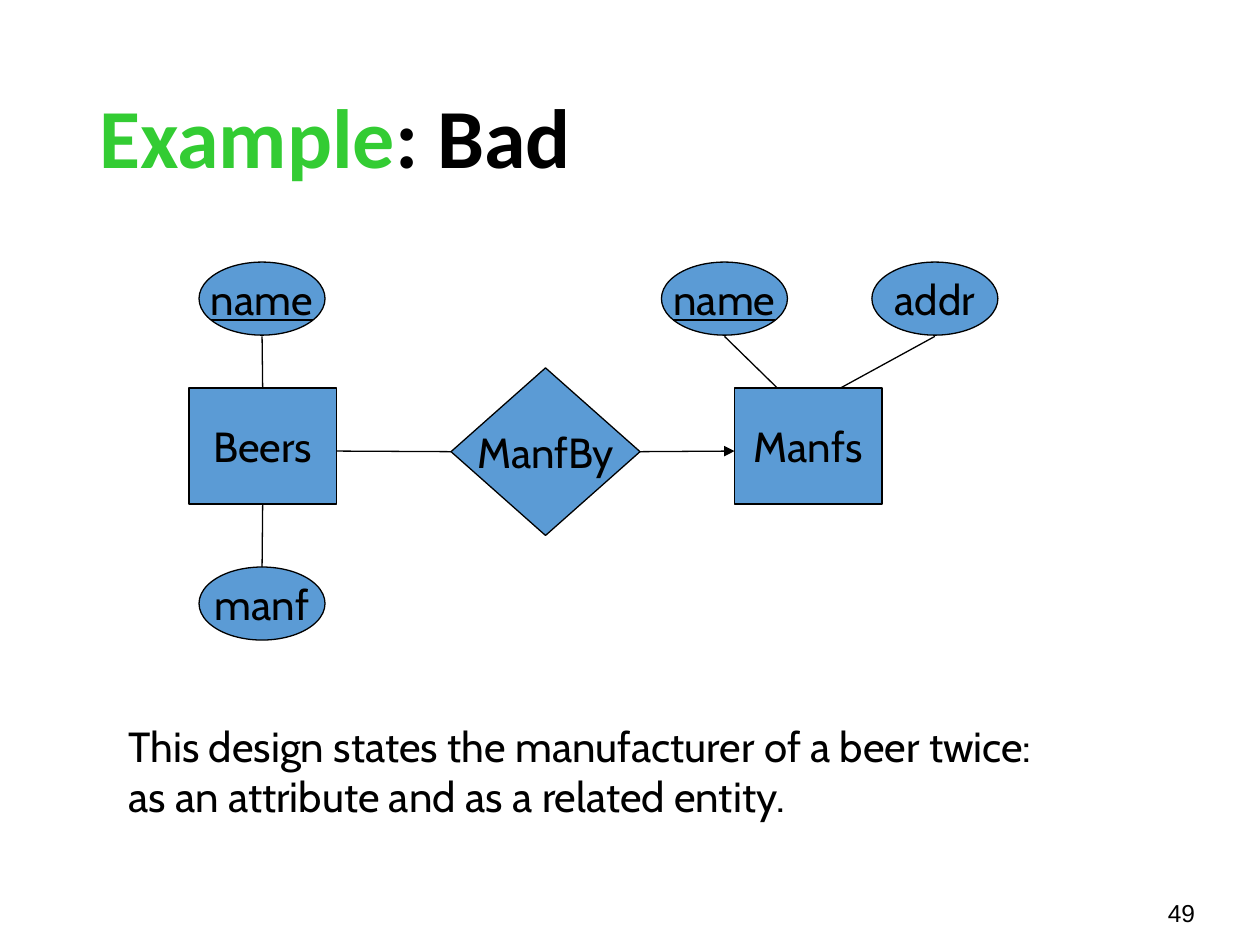
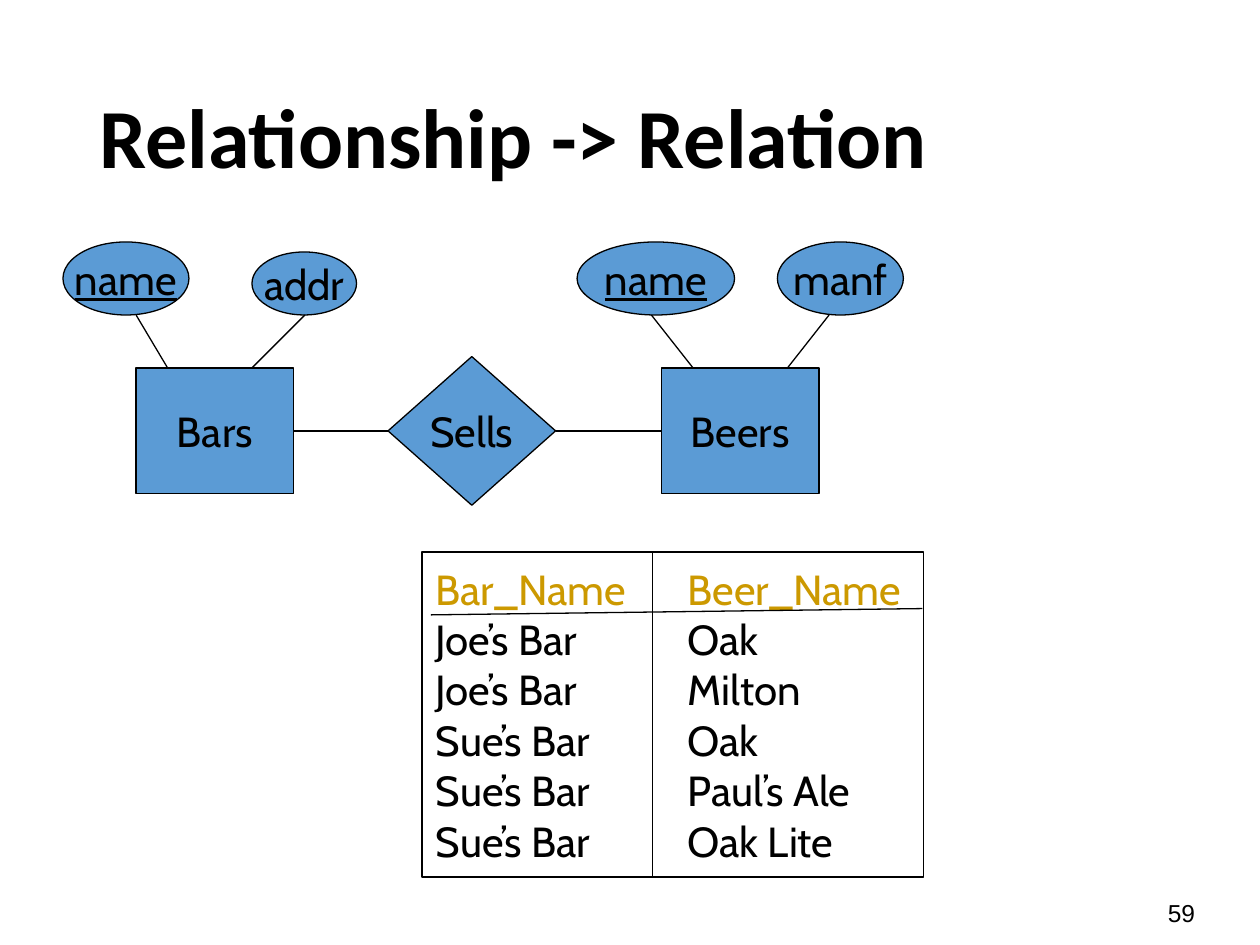
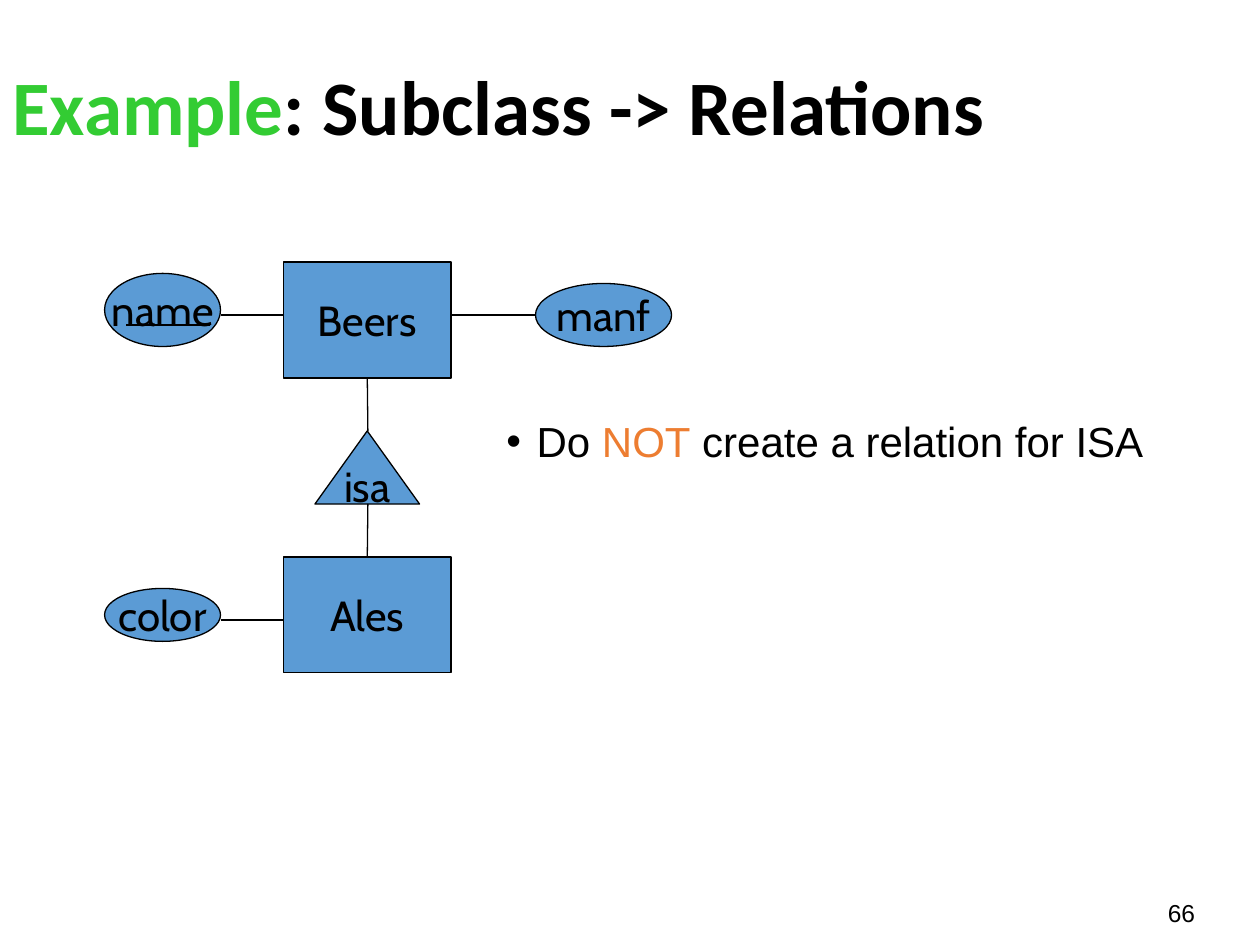
"""Build three slides on entity-relationship design."""
from lxml import etree
from pptx import Presentation
from pptx.dml.color import RGBColor
from pptx.enum.shapes import MSO_CONNECTOR, MSO_SHAPE
from pptx.enum.text import MSO_ANCHOR, PP_ALIGN
from pptx.oxml.ns import qn
from pptx.util import Inches, Pt

STRAIGHT = MSO_CONNECTOR.STRAIGHT
MIDDLE, TOP = MSO_ANCHOR.MIDDLE, MSO_ANCHOR.TOP
CENTER, LEFT = PP_ALIGN.CENTER, PP_ALIGN.LEFT
BLACK, BLUE, GREEN, GOLD, ORANGE = "000000", "5B9BD5", "33CC33", "CC9900", "ED7D31"

FORMS = {
    "entity": MSO_SHAPE.RECTANGLE,
    "link": MSO_SHAPE.DIAMOND,
    "attr": MSO_SHAPE.OVAL,
    "key": MSO_SHAPE.OVAL,
    "isa": MSO_SHAPE.ISOSCELES_TRIANGLE,
}

BAD = {
    "page": "49",
    "title": [("Example", GREEN), (": Bad", BLACK)],
    "nodes": [
        ("entity", "Beers", 1.5, 3.08, 1.17, 0.92),
        ("entity", "Manfs", 5.83, 3.08, 1.17, 0.92),
        ("link", "ManfBy", 3.58, 2.92, 1.5, 1.33),
        ("key", "name", 1.58, 2.08, 1, 0.58),
        ("key", "name", 5.25, 2.08, 1, 0.58),
        ("attr", "manf", 1.58, 4.5, 1, 0.58),
        ("attr", "addr", 6.92, 2.08, 1, 0.58),
    ],
    "lines": [
        (3.58, 3.58, 2.67, 3.58),
        (2.08, 2.67, 2.08, 3.08),
        (5.75, 2.67, 6.17, 3.08),
        (7.42, 2.67, 6.67, 3.08),
        (2.08, 4.5, 2.08, 4),
    ],
    "arrows": [(5.08, 3.58, 5.83, 3.58)],
}
NOTE = "This design states the manufacturer of a beer twice: as an attribute and as a related entity."

SELLS = {
    "page": "59",
    "title": [("Relationship -> Relation", BLACK)],
    "nodes": [
        ("entity", "Beers", 5.25, 2.92, 1.25, 1),
        ("attr", "manf", 6.17, 1.92, 1, 0.58),
        ("key", "name", 4.58, 1.92, 1.25, 0.58),
        ("entity", "Bars", 1.08, 2.92, 1.25, 1),
        ("key", "name", 0.5, 1.92, 1, 0.58),
        ("attr", "addr", 2, 2, 0.83, 0.5),
        ("link", "Sells", 3.08, 2.83, 1.33, 1.18),
    ],
    "lines": [
        (5.17, 2.5, 5.5, 2.92),
        (6.58, 2.5, 6.25, 2.92),
        (1.08, 2.5, 1.33, 2.92),
        (2.42, 2.5, 2, 2.92),
        (3.08, 3.42, 2.33, 3.42),
        (4.41, 3.42, 5.25, 3.42),
    ],
}
ROWS = [
    ("Bar_Name", "Beer_Name"),
    ("Joe’s Bar", "Oak"),
    ("Joe’s Bar", "Milton"),
    ("Sue’s Bar", "Oak"),
    ("Sue’s Bar", "Paul’s Ale"),
    ("Sue’s Bar", "Oak Lite"),
]
FRAME = (3.35, 4.38, 3.98, 2.58)
RULES = [(3.42, 4.88, 7.32, 4.83), (5.18, 4.38, 5.18, 6.96)]

SUB = {
    "page": "66",
    "title": [("Example", GREEN), (": Subclass -> Relations", BLACK)],
    "place": (0, 0.25, 10, 1.25),
    "size": 44,
    "nodes": [
        ("entity", "Beers", 2.25, 2.08, 1.33, 0.92),
        ("entity", "Ales", 2.25, 4.42, 1.33, 0.92),
        ("isa", "isa", 2.5, 3.42, 0.83, 0.58),
        ("attr", "name", 0.83, 2.17, 0.92, 0.58),
        ("attr", "manf", 4.25, 2.25, 1.08, 0.5),
        ("attr", "color", 0.83, 4.67, 0.92, 0.42),
    ],
    "lines": [
        (1, 2.58, 1.67, 2.58),
        (1.75, 2.5, 2.25, 2.5),
        (4.25, 2.5, 3.58, 2.5),
        (2.92, 3.42, 2.92, 3),
        (2.92, 4, 2.92, 4.42),
        (1.75, 4.92, 2.25, 4.92),
    ],
}
ADVICE = [("Do ", BLACK), ("NOT", ORANGE), (" create a relation for ISA", BLACK)]


def rgb(code):
    return RGBColor.from_string(code)


def write(shape, paras, size=24, font="Cabin", bold=False, under=False,
          align=LEFT, anchor=TOP, wrap=True, space=1.0, tab=None, bullet=None):
    frame = shape.text_frame
    frame.word_wrap = wrap
    frame.vertical_anchor = anchor
    for i, runs in enumerate(paras):
        para = frame.add_paragraph() if i else frame.paragraphs[0]
        props = para._p.get_or_add_pPr()
        if bullet:
            props.set("marL", str(Inches(0.24)))
            props.set("indent", str(-Inches(0.24)))
            etree.SubElement(props, qn("a:buFont"), typeface="Arial")
            etree.SubElement(props, qn("a:buChar"), char=bullet)
        if tab:
            stops = etree.SubElement(props, qn("a:tabLst"))
            etree.SubElement(stops, qn("a:tab"), pos=str(Inches(tab)), algn="l")
        para.alignment = align
        para.line_spacing = space
        for text, color in runs:
            run = para.add_run()
            run.text = text
            run.font.size = Pt(size)
            run.font.name = font
            run.font.bold = bold
            run.font.underline = under
            run.font.color.rgb = rgb(color)


def label(slide, place, paras, **form):
    write(slide.shapes.add_textbox(*map(Inches, place)), paras, **form)


def block(slide, kind, place, fill=None):
    shape = slide.shapes.add_shape(kind, *map(Inches, place))
    shape.shadow.inherit = False
    if fill:
        shape.fill.solid()
        shape.fill.fore_color.rgb = rgb(fill)
    else:
        shape.fill.background()
    shape.line.color.rgb = rgb(BLACK)
    shape.line.width = Pt(0.75)
    return shape


def site(x, y, boxes):
    """Find the box whose side has its middle at this point."""
    for shape, (left, top, wide, high) in boxes:
        mids = [(left + wide / 2, top), (left, top + high / 2),
                (left + wide / 2, top + high), (left + wide, top + high / 2)]
        for i, (a, b) in enumerate(mids):
            if abs(a - x) < 0.02 and abs(b - y) < 0.02:
                return shape, i
    return None


def join(slide, ends, boxes=(), arrow=False):
    line = slide.shapes.add_connector(STRAIGHT, *map(Inches, ends))
    line.line.color.rgb = rgb(BLACK)
    line.line.width = Pt(0.75)
    props = line._element.spPr
    if arrow:
        etree.SubElement(props.find(qn("a:ln")), qn("a:tailEnd"), type="triangle")
    etree.SubElement(props, qn("a:effectLst"))
    start, stop = site(*ends[:2], boxes), site(*ends[2:], boxes)
    if start:
        line.begin_connect(*start)
    if stop:
        line.end_connect(*stop)


def build(deck, data):
    """Add a slide with its page number, title and diagram."""
    slide = deck.slides.add_slide(deck.slide_layouts[6])
    label(slide, (9.17, 7.08, 0.58, 0.34), [[(data["page"], BLACK)]], size=14, font="Arial")
    label(slide, data.get("place", (0.69, 0.4, 8.63, 1.45)), [data["title"]],
          size=data.get("size", 48), font="Calibri", bold=True, anchor=MIDDLE, space=0.9)
    boxes = []
    for kind, text, *place in data["nodes"]:
        shape = block(slide, FORMS[kind], place, BLUE)
        write(shape, [[(text, BLACK)]], under=kind == "key",
              align=CENTER, anchor=MIDDLE, wrap=False)
        if kind in ("entity", "link"):
            boxes.append((shape, place))
    for ends in data["lines"]:
        join(slide, ends, boxes)
    for ends in data.get("arrows", []):
        join(slide, ends, boxes, arrow=True)
    return slide


def main():
    deck = Presentation()
    deck.slide_width, deck.slide_height = Inches(10), Inches(7.5)

    label(build(deck, BAD), (0.92, 5.67, 7.52, 0.9), [[(NOTE, BLACK)]])

    sells = build(deck, SELLS)
    rows = [[("\t".join(row), BLACK if i else GOLD)] for i, row in enumerate(ROWS)]
    label(sells, (3.36, 4.42, 4.02, 2.5), rows, tab=2)
    block(sells, FORMS["entity"], FRAME)
    for ends in RULES:
        join(sells, ends)

    label(build(deck, SUB), (3.92, 3.25, 5.67, 0.5), [ADVICE], font="Arial", bullet="•")
    deck.save("out.pptx")


if __name__ == "__main__":
    main()
